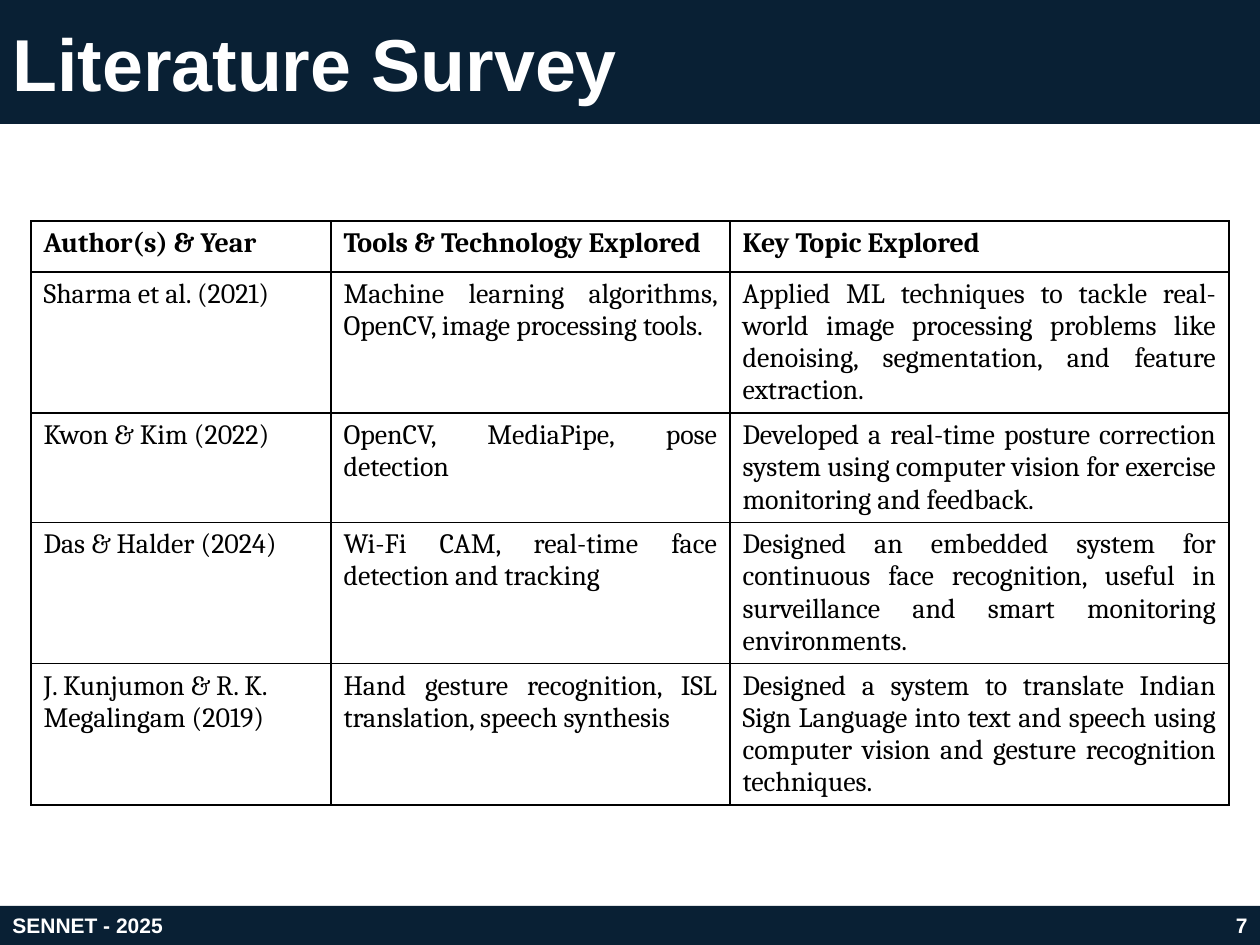
from lxml.etree import SubElement
from pptx import Presentation
from pptx.dml.color import RGBColor
from pptx.enum.shapes import MSO_SHAPE
from pptx.enum.text import MSO_ANCHOR as Anchor, PP_ALIGN as Align
from pptx.oxml.ns import qn
from pptx.util import Pt

PX = 914400 / 126
COLORS = {"navy": "092034", "white": "FFFFFF", "black": "000000"}
TITLE = {"name": "Arial", "size": Pt(42), "bold": True}
FOOTER = {"name": "Arial", "size": Pt(12), "bold": True}
HEADER = {"name": "Cambria", "size": Pt(16), "bold": True}
BODY = {**HEADER, "bold": False}

COLUMNS = [300, 399, 499]
ROW_HEIGHTS = [51, 141, 109, 141, 141]
SURVEY = [
    ("Author(s) & Year", "Tools & Technology Explored", "Key Topic Explored"),
    ("Sharma et al. (2021)",
     "Machine learning algorithms, OpenCV, image processing tools.",
     "Applied ML techniques to tackle real-world image processing problems "
     "like denoising, segmentation, and feature extraction."),
    ("Kwon & Kim (2022)",
     "OpenCV, MediaPipe, pose detection\t",
     "Developed a real-time posture correction system using computer vision "
     "for exercise monitoring and feedback."),
    ("Das & Halder (2024)",
     "Wi-Fi CAM, real-time face detection and tracking",
     "Designed an embedded system for continuous face recognition, useful in "
     "surveillance and smart monitoring environments."),
    ("J. Kunjumon & R. K. Megalingam (2019)",
     "Hand gesture recognition, ISL translation, speech synthesis",
     "Designed a system to translate Indian Sign Language into text and speech "
     "using computer vision and gesture recognition techniques."),
]


def emu(*lengths):
    return [round(n * PX) for n in lengths]


def paint(fill, color):
    fill.solid()
    fill.fore_color.rgb = RGBColor.from_string(COLORS[color])


def write(tf, text, fmt, color, align=Align.LEFT):
    tf.word_wrap = True
    p = tf.paragraphs[0]
    p.alignment = align
    r = p.add_run()
    r.text = text
    for key, value in fmt.items():
        setattr(r.font, key, value)
    r.font.color.rgb = RGBColor.from_string(COLORS[color])


def border(cell):
    tcPr = cell._tc.get_or_add_tcPr()
    for i, side in enumerate(("lnL", "lnR", "lnT", "lnB")):
        ln = SubElement(tcPr, qn(f"a:{side}"), w=str(Pt(1)))
        fill = SubElement(ln, qn("a:solidFill"))
        SubElement(fill, qn("a:srgbClr"), val=COLORS["black"])
        tcPr.remove(ln)
        tcPr.insert(i, ln)


def add_title(s, x, y, w, h):
    sp = s.shapes.title
    sp.left, sp.top, sp.width, sp.height = emu(x, y, w, h)
    paint(sp.fill, "navy")
    sp.text_frame.vertical_anchor = Anchor.MIDDLE
    write(sp.text_frame, "Literature Survey", TITLE, "white")


def add_survey(s, x, y):
    box = emu(x, y, sum(COLUMNS), sum(ROW_HEIGHTS))
    table = s.shapes.add_table(len(SURVEY), len(COLUMNS), *box).table
    table.first_row = table.horz_banding = False
    for col, width in zip(table.columns, emu(*COLUMNS)):
        col.width = width
    for row, height in zip(table.rows, emu(*ROW_HEIGHTS)):
        row.height = height
    for i, texts in enumerate(SURVEY):
        for j, text in enumerate(texts):
            cell = table.cell(i, j)
            paint(cell.fill, "white")
            border(cell)
            align = Align.JUSTIFY if i and j else Align.LEFT
            write(cell.text_frame, text, BODY if i else HEADER, "black", align)


def add_footer(s, x, y, w, h):
    bar = s.shapes.add_shape(MSO_SHAPE.RECTANGLE, *emu(x, y, w, h))
    bar.shadow.inherit = False
    paint(bar.fill, "navy")
    bar.line.fill.background()
    label_w, number_w = 248, 294
    for left, width, text, align in (
        (x, label_w, "SENNET - 2025", Align.LEFT),
        (x + w - number_w, number_w, "7", Align.RIGHT),
    ):
        tf = s.shapes.add_textbox(*emu(left, y, width, h)).text_frame
        tf.vertical_anchor = Anchor.MIDDLE
        write(tf, text, FOOTER, "white", align)


def main():
    prs = Presentation()
    prs.slide_width, prs.slide_height = emu(1260, 945)
    s = prs.slides.add_slide(prs.slide_layouts[5])
    paint(s.background.fill, "white")
    add_title(s, 0, 0, 1260, 124)
    add_survey(s, 31, 221)
    add_footer(s, 0, 906, 1260, 39)
    prs.save("out.pptx")


if __name__ == "__main__":
    main()
